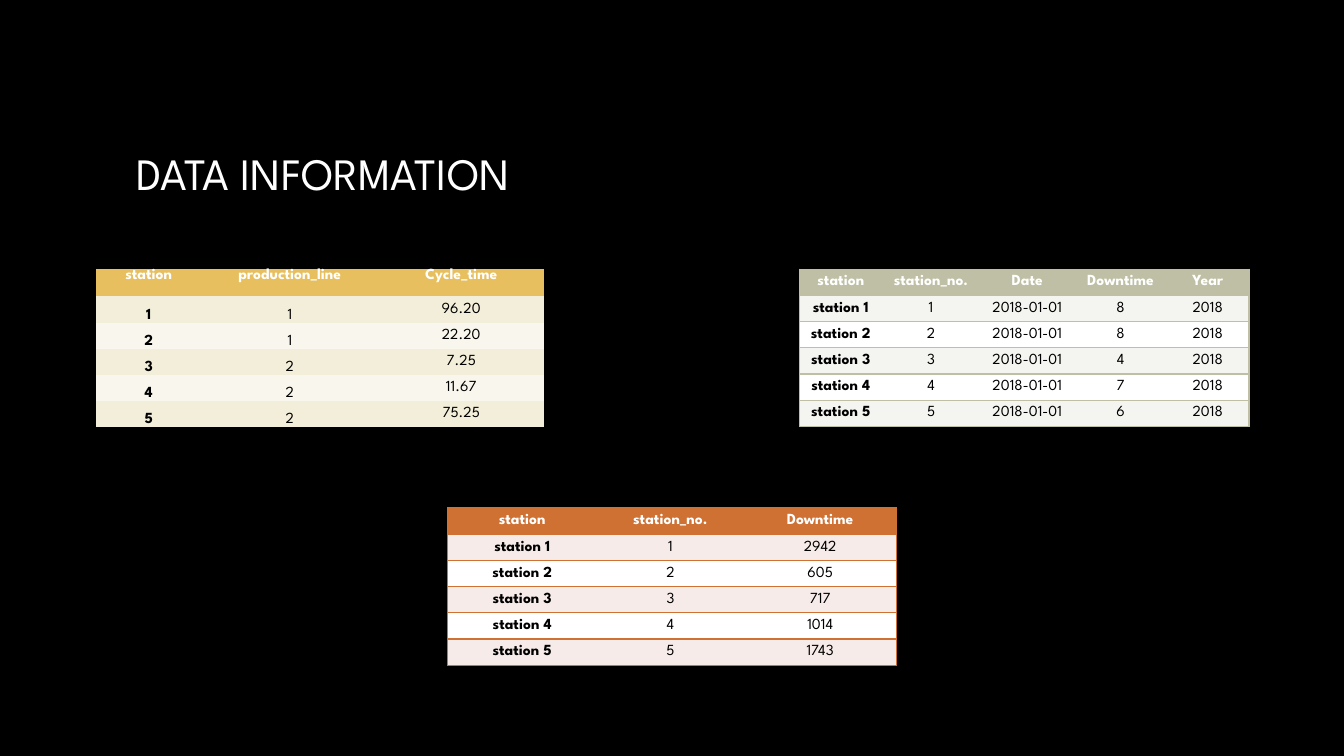
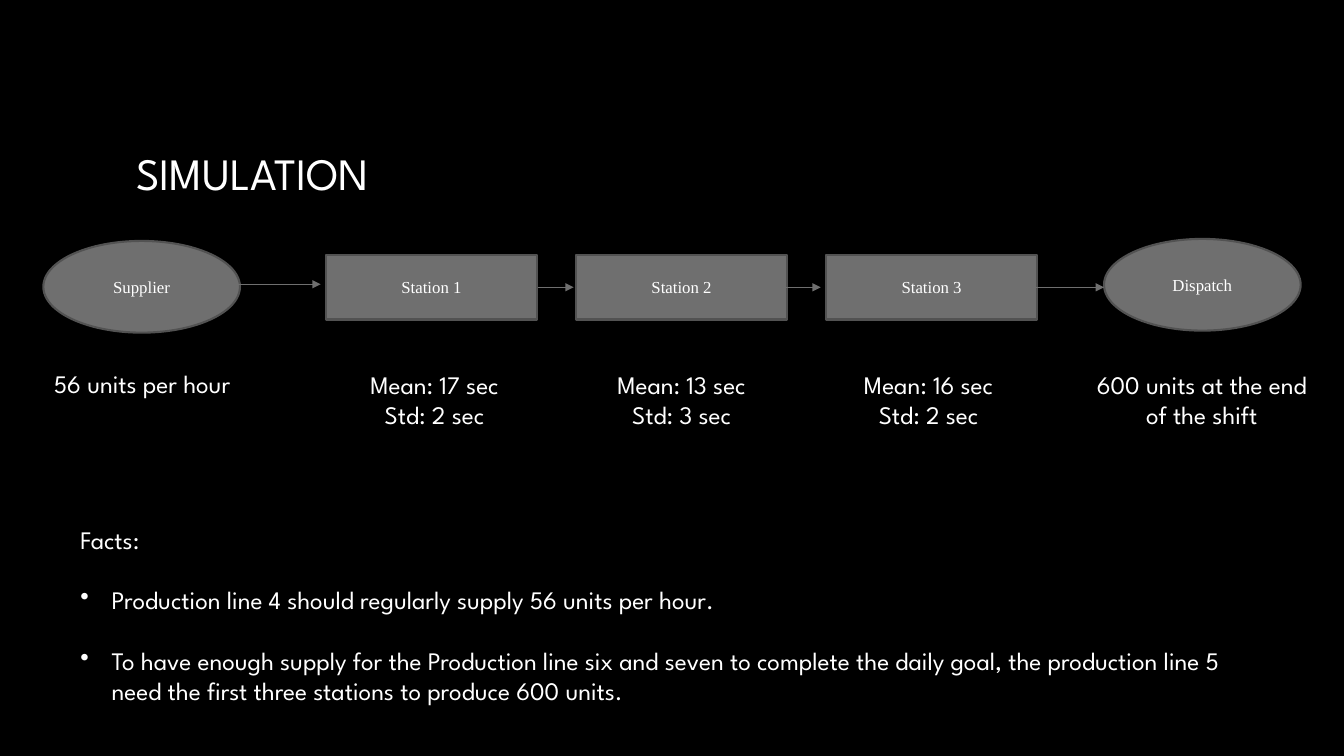
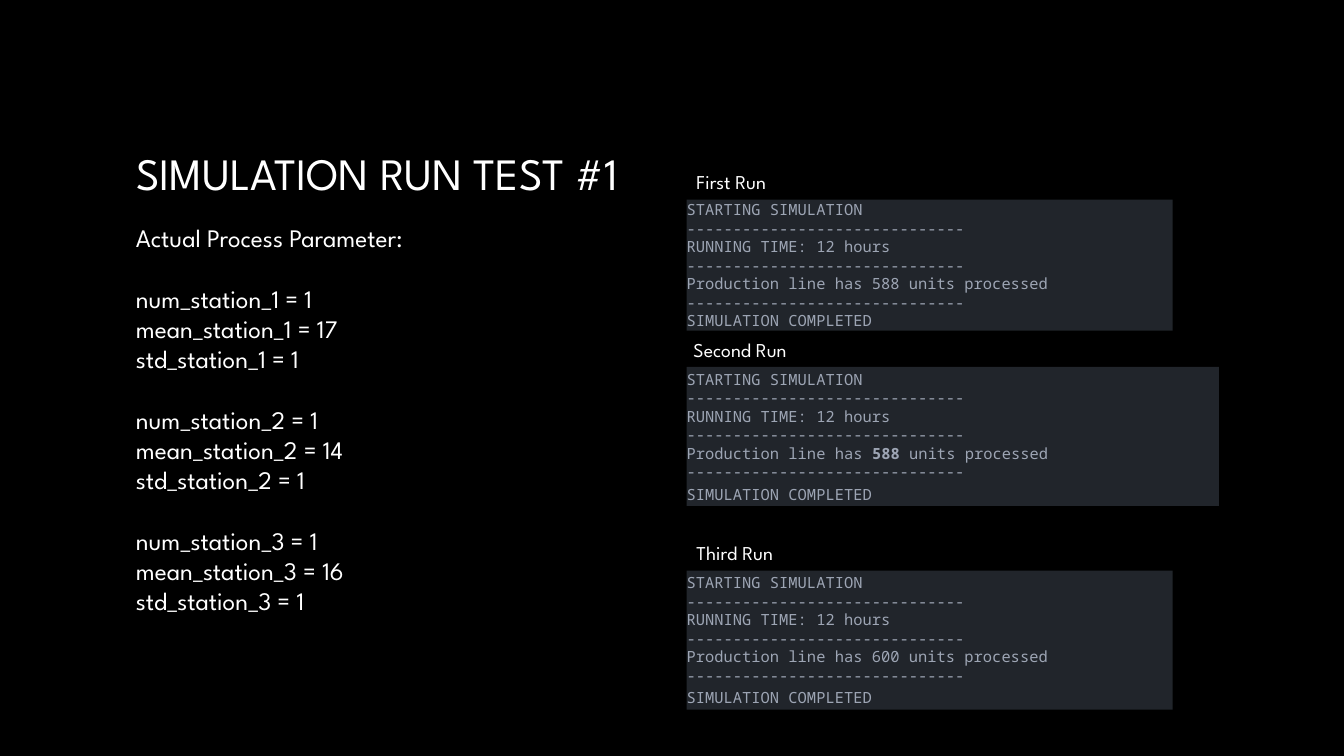
from dataclasses import dataclass
from itertools import accumulate
from typing import Optional, Sequence, Union

from lxml.etree import SubElement
from pptx import Presentation
from pptx.dml.color import RGBColor as RGB
from pptx.enum.shapes import MSO_CONNECTOR as Conn, MSO_SHAPE as Kind
from pptx.enum.text import MSO_ANCHOR as Anchor, PP_ALIGN as Align
from pptx.oxml.ns import qn
from pptx.util import Emu, Pt


@dataclass(frozen=True)
class Theme:
    back: str = "000000"
    ink: str = "FFFFFF"
    dark: str = "000000"
    node: str = "6F6F6F"
    edge: str = "525252"
    panel: str = "21252B"
    code: str = "9DA5B4"
    font: str = "League Spartan"
    serif: str = "Times New Roman"
    mono: str = "Noto Sans Mono"
    title: int = 32
    body: int = 18
    label: int = 14
    small: int = 12
    cell: int = 11
    gap: float = 21.6


T = Theme()


@dataclass(frozen=True)
class Box:
    x: int
    y: int
    w: int
    h: int


@dataclass(frozen=True)
class Line:
    """One paragraph; text between ** marks is bold."""
    text: str
    gap: float = 0
    bullet: bool = False


@dataclass(frozen=True)
class Grid:
    x: int
    y: int
    cols: Sequence[int]
    rows: Sequence[Sequence[str]]
    head: str
    bands: tuple[str, str]
    top: int = 26
    rule: Optional[str] = None
    low: int = 0
    above: Anchor = Anchor.MIDDLE


@dataclass(frozen=True)
class Node:
    text: str
    kind: Kind
    box: Box


@dataclass(frozen=True)
class Run:
    name: str
    units: str
    label: Box
    panel: Box
    last: float = 3


Lines = Sequence[Union[Line, str]]


def px(n: int) -> Emu:
    """Turn px, 100 to the inch, into EMU."""
    return Emu(n * 9144)


def place(box: Box) -> tuple[Emu, ...]:
    return px(box.x), px(box.y), px(box.w), px(box.h)


def write(frame, lines: Lines, *, size: float = T.body, font: str = T.font,
          color: str = T.ink, bold: bool = False, align: Align = Align.LEFT,
          anchor: Optional[Anchor] = None, inset: Optional[int] = None) -> None:
    frame.word_wrap = True
    if anchor is not None:
        frame.vertical_anchor = anchor
    if inset is not None:
        frame.margin_left = frame.margin_right = px(inset)
        frame.margin_top = frame.margin_bottom = px(inset)
    for i, item in enumerate(lines):
        line = Line(item) if isinstance(item, str) else item
        para = frame.add_paragraph() if i else frame.paragraphs[0]
        para.alignment = align
        if line.gap:
            para.space_before = Pt(line.gap)
        if line.bullet:
            prop = para._p.get_or_add_pPr()
            prop.set("marL", str(px(31)))
            prop.set("indent", str(-px(31)))
            SubElement(prop, qn("a:buChar"), char="•")
        for j, part in enumerate(line.text.split("**")):
            run = para.add_run()
            run.text = part
            run.font.size, run.font.name = Pt(size), font
            run.font.bold = bold or j % 2 == 1
            run.font.color.rgb = RGB.from_string(color)


def start(deck, title: str, width: int = 1083):
    """Add a slide with its title."""
    slide = deck.slides.add_slide(deck.slide_layouts[5])
    head = slide.shapes.title
    head.left, head.top, head.width, head.height = place(Box(125, 67, width, 208))
    write(head.text_frame, [title], size=T.title, anchor=Anchor.MIDDLE)
    return slide


def note(slide, box: Box, lines: Lines, **fmt) -> None:
    """Add a text box."""
    write(slide.shapes.add_textbox(*place(box)).text_frame, lines, **fmt)


def block(slide, kind: Kind, box: Box, lines: Lines, *, fill: str,
          edge: Optional[str] = None, **fmt) -> None:
    """Add a filled shape with text."""
    shape = slide.shapes.add_shape(kind, *place(box))
    shape.shadow.inherit = False
    shape.fill.solid()
    shape.fill.fore_color.rgb = RGB.from_string(fill)
    if edge:
        shape.line.color.rgb = RGB.from_string(edge)
        shape.line.width = Pt(1.5)
    else:
        shape.line.fill.background()
    write(shape.text_frame, lines, anchor=Anchor.MIDDLE, **fmt)


def arrow(slide, x: int, end: int, y: int) -> None:
    link = slide.shapes.add_connector(Conn.STRAIGHT, px(x), px(y), px(end), px(y))
    link.line.color.rgb = RGB.from_string(T.node)
    link.line.width = Pt(0.75)
    SubElement(link.line._get_or_add_ln(), qn("a:tailEnd"), type="triangle")
    SubElement(link._element.spPr, qn("a:effectLst"))


def border(cell, sides: str, color: Optional[str]) -> None:
    """Rule the given sides of a cell and clear the others."""
    prop = cell._tc.get_or_add_tcPr()
    for i, side in enumerate("LRTB"):
        edge = SubElement(prop, qn("a:ln" + side), w=str(Pt(1)))
        prop.insert(i, edge)
        if color and side in sides:
            fill = SubElement(edge, qn("a:solidFill"))
            SubElement(fill, qn("a:srgbClr"), val=color)
        else:
            SubElement(edge, qn("a:noFill"))


def table(slide, grid: Grid) -> None:
    count, wide = len(grid.rows), len(grid.cols)
    tall = [grid.top] + [26] * (count - 1)
    box = Box(grid.x, grid.y, sum(grid.cols), sum(tall))
    tab = slide.shapes.add_table(count, wide, *place(box)).table
    tab.first_row = tab.horz_banding = False
    for col, size in zip(tab.columns, grid.cols):
        col.width = px(size)
    for r, row in enumerate(grid.rows):
        tab.rows[r].height = px(tall[r])
        for c, text in enumerate(row):
            cell = tab.cell(r, c)
            cell.margin_left = cell.margin_right = px(7)
            cell.margin_top = cell.margin_bottom = 0
            low = Anchor.BOTTOM if c < grid.low else Anchor.MIDDLE
            cell.vertical_anchor = low if r else grid.above
            cell.fill.solid()
            fill = grid.bands[(r - 1) % 2] if r else grid.head
            cell.fill.fore_color.rgb = RGB.from_string(fill)
            sides = "TB" + "L" * (c == 0) + "R" * (c == wide - 1)
            border(cell, sides, grid.rule)
            write(cell.text_frame, [text], size=T.cell, align=Align.CENTER,
                  bold=r == 0 or c == 0, color=T.dark if r else T.ink)


def data(deck) -> None:
    slide = start(deck, "DATA INFORMATION")
    lines = ("1", "1", "2", "2", "2")
    times = ("96.20", "22.20", "7.25", "11.67", "75.25")
    total = ("2942", "605", "717", "1014", "1743")
    daily = ("8", "8", "4", "7", "6")
    nums = [str(n) for n in range(1, 6)]
    names = [f"station {n}" for n in nums]
    grids = (
        Grid(95, 267, (105, 175, 165),
             [("station", "production_line", "Cycle_time"), *zip(nums, lines, times)],
             "E7BF5F", ("F2EED9", "F9F7ED"), top=27, low=2, above=Anchor.TOP),
        Grid(444, 504, (148, 146, 151),
             [("station", "station_no.", "Downtime"), *zip(names, nums, total)],
             "CF7133", ("F6EBE8", "FFFFFF"), rule="CF7133"),
        Grid(793, 267, (82, 97, 94, 91, 82),
             [("station", "station_no.", "Date", "Downtime", "Year"),
              *zip(names, nums, ["2018-01-01"] * 5, daily, ["2018"] * 5)],
             "BFBFA5", ("F4F4F0", "FFFFFF"), rule="BFBFA5"),
    )
    for grid in grids:
        table(slide, grid)


def flow(deck) -> None:
    slide = start(deck, "SIMULATION")
    nodes = [
        Node("Supplier", Kind.OVAL, Box(43, 239, 195, 91)),
        *(Node(f"Station {i + 1}", Kind.RECTANGLE, Box(323 + 248 * i, 253, 210, 64))
          for i in range(3)),
        Node("Dispatch", Kind.OVAL, Box(1095, 237, 195, 91)),
    ]
    for node in nodes:
        block(slide, node.kind, node.box, [node.text], fill=T.node, edge=T.edge,
              size=T.small, font=T.serif, align=Align.CENTER)
    for x, end, y in ((236, 318, 282), (534, 569, 285), (733, 814, 285), (955, 1095, 285)):
        arrow(slide, x, end, y)
    stats = ((17, 2), (13, 3), (16, 2))
    notes = [
        (24, ["56 units per hour"]),
        *((314 + 245 * i, [f"Mean: {mean} sec", f"Std: {std} sec"])
          for i, (mean, std) in enumerate(stats)),
        (1075, ["600 units at the end of the shift"]),
    ]
    for x, text in notes:
        note(slide, Box(x, 361, 234, 71 if x > 24 else 40), text, align=Align.CENTER)
    note(slide, Box(70, 515, 1163, 192), [
        "Facts:",
        Line("Production line 4 should regularly supply 56 units per hour.", T.gap, True),
        Line("To have enough supply for the Production line six and seven to complete "
             "the daily goal, the production line 5 need the first three stations to "
             "produce 600 units.", T.gap, True),
    ])


def test(deck) -> None:
    slide = start(deck, "SIMULATION RUN TEST #1", 556)
    runs = (
        Run("First Run", "588", Box(681, 164, 244, 34), Box(681, 198, 482, 130), 0),
        Run("Second Run", "**588**", Box(678, 330, 244, 34), Box(681, 364, 528, 138)),
        Run("Third Run", "600", Box(681, 532, 244, 34), Box(681, 566, 482, 138)),
    )
    dash = "-" * 30
    for run in runs:
        block(slide, Kind.RECTANGLE, run.panel, [
            "STARTING SIMULATION", dash, "RUNNING TIME: 12 hours", dash,
            f"Production line has {run.units} units processed", dash,
            Line("SIMULATION COMPLETED", run.last),
        ], fill=T.panel, size=T.cell, font=T.mono, color=T.code, inset=0)
        note(slide, run.label, [run.name], size=T.label)
    params: list[Union[Line, str]] = ["Actual Process Parameter:"]
    for i, mean in enumerate((17, 14, 16), 1):
        params += [Line(f"num_station_{i} = 1", T.gap),
                   f"mean_station_{i} = {mean}", f"std_station_{i} = 1"]
    note(slide, Box(125, 216, 542, 404), params)


def main() -> None:
    deck = Presentation()
    deck.slide_width, deck.slide_height = px(1333), px(750)
    back = deck.slide_master.background.fill
    back.solid()
    back.fore_color.rgb = RGB.from_string(T.back)
    for build in (data, flow, test):
        build(deck)
    deck.save("out.pptx")


if __name__ == "__main__":
    main()
